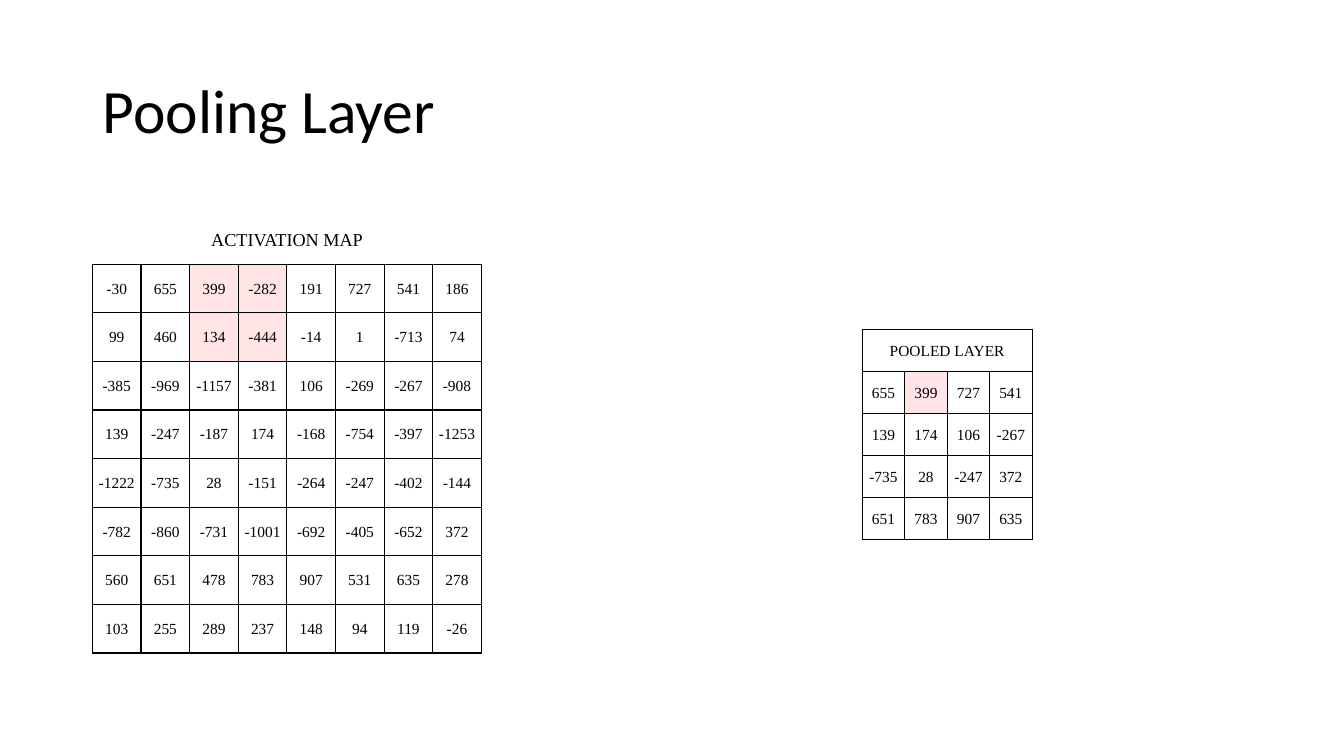
from lxml import etree
from pptx import Presentation
from pptx.dml.color import RGBColor
from pptx.enum.text import MSO_ANCHOR, MSO_AUTO_SIZE, PP_ALIGN
from pptx.oxml.ns import qn
from pptx.util import Cm, Pt

MID = MSO_ANCHOR.MIDDLE
FIXED = MSO_AUTO_SIZE.NONE
LEFT, CENTER = PP_ALIGN.LEFT, PP_ALIGN.CENTER
BLACK, PINK = "000000", "FFE5E5"
SIDES = ("L", "R", "T", "B")

MAP = [
    [-30, 655, 399, -282, 191, 727, 541, 186],
    [99, 460, 134, -444, -14, 1, -713, 74],
    [-385, -969, -1157, -381, 106, -269, -267, -908],
    [139, -247, -187, 174, -168, -754, -397, -1253],
    [-1222, -735, 28, -151, -264, -247, -402, -144],
    [-782, -860, -731, -1001, -692, -405, -652, 372],
    [560, 651, 478, 783, 907, 531, 635, 278],
    [103, 255, 289, 237, 148, 94, 119, -26],
]
POOL = [
    [655, 399, 727, 541],
    [139, 174, 106, -267],
    [-735, 28, -247, 372],
    [651, 783, 907, 635],
]


def color(code):
    return RGBColor.from_string(code)


class Deck:
    head_font = "Calibri"
    grid_font = "Times New Roman"

    def __init__(self, wide, high):
        self.prs = Presentation()
        self.prs.slide_width, self.prs.slide_height = Cm(wide), Cm(high)
        self.slide = self.prs.slides.add_slide(self.prs.slide_layouts[5])

    def label(self, para, text, font, size, align):
        para.alignment = align
        run = para.add_run()
        run.text = str(text)
        run.font.name = font
        run.font.size = Pt(size)
        run.font.color.rgb = color(BLACK)

    def title(self, text, x, y, w, h):
        box = self.slide.shapes.title
        box.left, box.top, box.width, box.height = Cm(x), Cm(y), Cm(w), Cm(h)
        frame = box.text_frame
        frame.auto_size = FIXED
        frame.vertical_anchor = MID
        para = frame.paragraphs[0]
        para.line_spacing = 0.9
        self.label(para, text, self.head_font, 44, LEFT)

    def edges(self, cell, shown):
        props = cell._tc.get_or_add_tcPr()
        for side in SIDES:
            line = etree.SubElement(props, qn("a:ln" + side), w=str(Pt(1)))
            if side in shown:
                fill = etree.SubElement(line, qn("a:solidFill"))
                etree.SubElement(fill, qn("a:srgbClr"), val=BLACK)
            else:
                etree.SubElement(line, qn("a:noFill"))

    def grid(self, head, size, rows, x, y, w, h, marked, frame=SIDES):
        """Number grid under a merged heading; marked holds (row, column) pairs."""
        high, wide = len(rows) + 1, len(rows[0])
        table = self.slide.shapes.add_table(
            high, wide, Cm(x), Cm(y), Cm(w), Cm(h)).table
        table.first_row = table.horz_banding = False
        for col in table.columns:
            col.width = Cm(w / wide)
        for row in table.rows:
            row.height = Cm(h / high)

        # Cell borders, fills and margins
        for r in range(high):
            for c in range(wide):
                cell = table.cell(r, c)
                self.edges(cell, SIDES if r else frame)
                if (r, c) in marked:
                    cell.fill.solid()
                    cell.fill.fore_color.rgb = color(PINK)
                else:
                    cell.fill.background()
                cell.vertical_anchor = MID
                cell.margin_left = cell.margin_right = cell.margin_top = Cm(0.02)
                cell.margin_bottom = 0
                if r:
                    self.label(cell.text_frame.paragraphs[0], rows[r - 1][c],
                               self.grid_font, 11, CENTER)

        # Heading
        top = table.cell(0, 0)
        top.merge(table.cell(0, wide - 1))
        self.label(top.text_frame.paragraphs[0], head, self.grid_font, size, CENTER)


def main():
    deck = Deck(33.87, 19.05)
    deck.title("Pooling Layer", 2.33, 1.01, 29.21, 3.68)

    # Activation map with the pooled window marked
    window = [(r, c) for r in (1, 2) for c in (2, 3)]
    deck.grid("ACTIVATION MAP", 13, MAP, 2.33, 5.43, 9.8, 11.03, window, ("B",))

    # Pooled layer with the window's maximum marked
    deck.grid("POOLED LAYER", 11, POOL, 21.73, 8.3, 4.28, 5.3, [(1, 1)])

    deck.prs.save("out.pptx")


if __name__ == "__main__":
    main()
